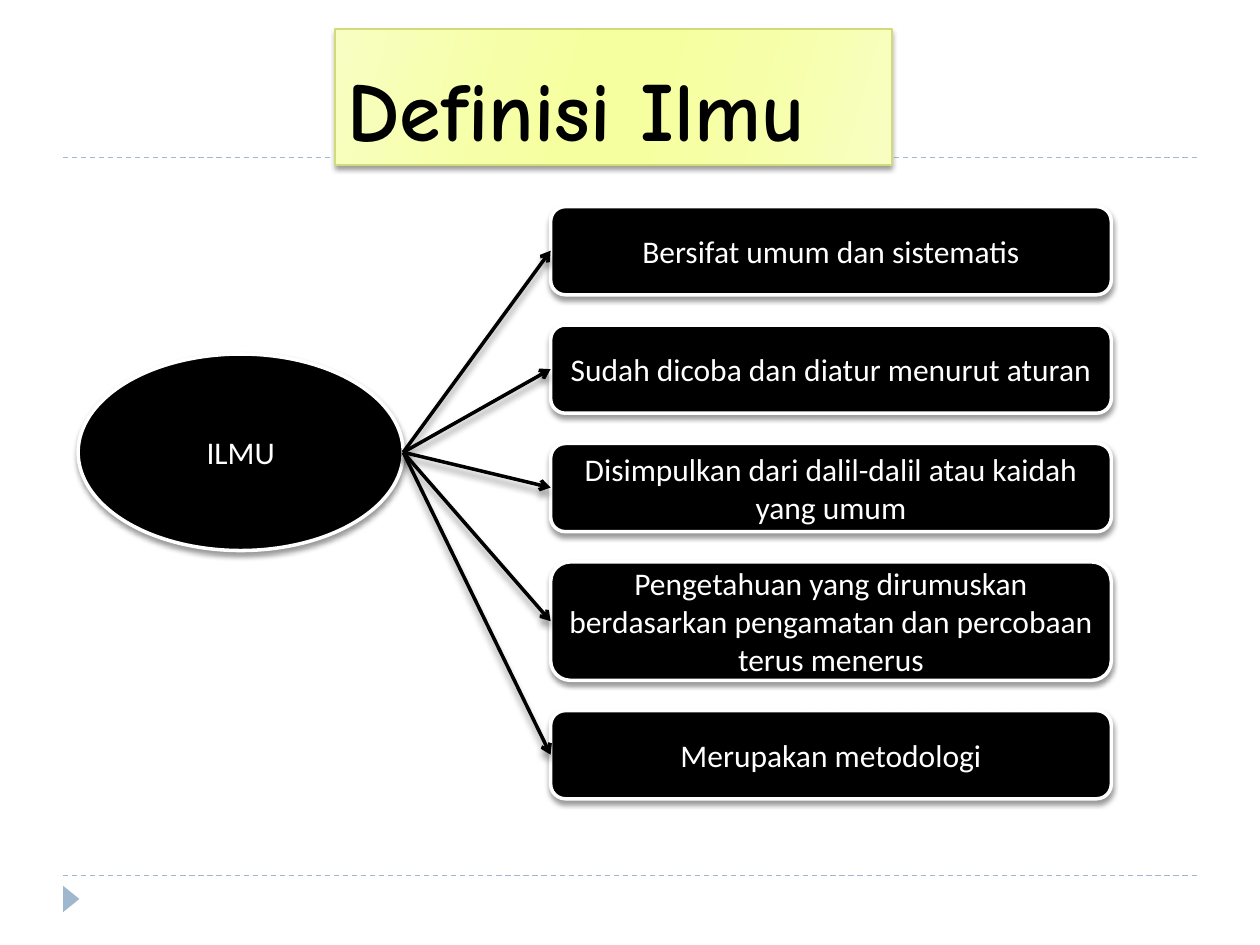
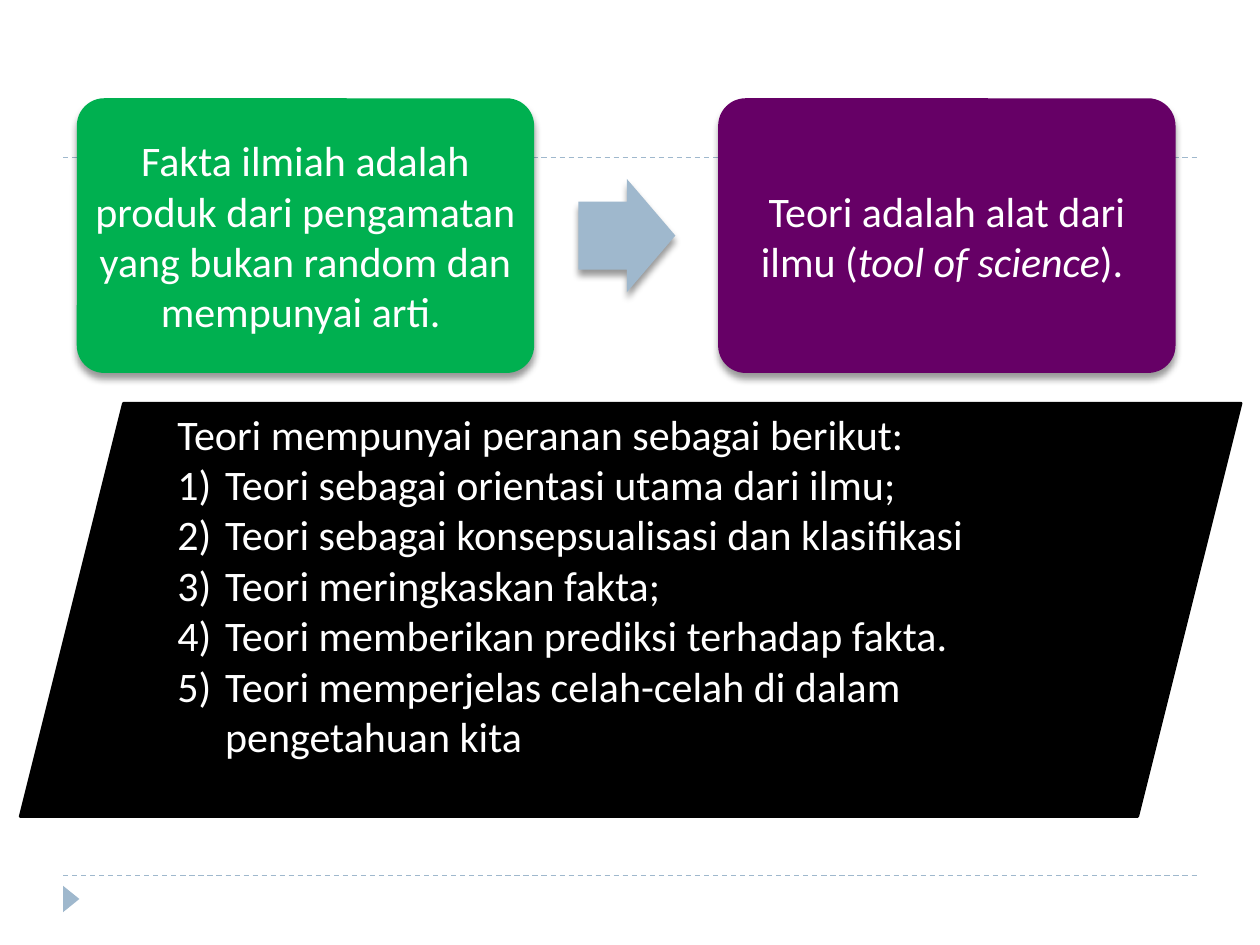
from typing import NamedTuple

from lxml.etree import SubElement
from pptx import Presentation
from pptx.dml.color import RGBColor
from pptx.enum.dml import MSO_LINE
from pptx.enum.shapes import MSO_CONNECTOR, MSO_SHAPE
from pptx.enum.text import MSO_ANCHOR, MSO_AUTO_SIZE, PP_ALIGN
from pptx.oxml.ns import qn
from pptx.util import Emu, Pt

PX = 9144

BLACK = RGBColor(0x00, 0x00, 0x00)
WHITE = RGBColor(0xFF, 0xFF, 0xFF)
BLUE = RGBColor(0x9F, 0xB8, 0xCD)
GREEN = RGBColor(0x00, 0xB0, 0x50)
PURPLE = RGBColor(0x66, 0x00, 0x66)
OLIVE = RGBColor(0xD2, 0xDA, 0x7A)
PALE_LIME = RGBColor(0xF8, 0xFE, 0xC2)
SOFT_LIME = RGBColor(0xF6, 0xFF, 0xA7)
LIME = RGBColor(0xF6, 0xFF, 0x9F)
TITLE_STOPS = [(0, PALE_LIME), (30, SOFT_LIME), (45, LIME),
               (55, LIME), (73, SOFT_LIME), (100, PALE_LIME)]

BODY_FONT = "Calibri"
TITLE_FONT = "Comic Neue"
NEAR_SHADOW = (3, 2)
FAR_SHADOW = (4, 3.4)

TRAITS = [
    ("Bersifat umum dan sistematis", 70),
    ("Sudah dicoba dan diatur menurut aturan", 70),
    ("Disimpulkan dari dalil-dalil atau kaidah yang umum", 70),
    ("Pengetahuan yang dirumuskan berdasarkan pengamatan dan percobaan terus menerus", 94),
    ("Merupakan metodologi", 70),
]
FACT = [("Fakta ilmiah adalah produk dari pengamatan yang bukan random dan mempunyai arti. ", False)]
THEORY = [("Teori adalah alat dari ilmu (", False), ("tool of science", True), ("). ", False)]
ROLES_HEADING = "Teori mempunyai peranan sebagai berikut:"
ROLES = [
    "Teori sebagai orientasi utama dari ilmu;",
    "Teori sebagai konsepsualisasi dan klasifikasi",
    "Teori meringkaskan fakta;",
    "Teori memberikan prediksi terhadap fakta.",
    "Teori memperjelas celah-celah di dalam pengetahuan kita",
]


class Box(NamedTuple):
    """A rectangle in px."""

    left: int
    top: int
    width: int
    height: int


def px(length):
    """Turn px into EMU."""
    return Emu(int(length * PX))


def add_shadow(shape, blur, distance):
    """Give a shape or connector a soft black shadow below it."""
    effects = SubElement(shape.element.spPr, qn("a:effectLst"))
    shadow = SubElement(effects, qn("a:outerShdw"), blurRad=str(Pt(blur)),
                        dist=str(Pt(distance)), dir="5400000", rotWithShape="0")
    colour = SubElement(shadow, qn("a:srgbClr"), val=str(BLACK))
    SubElement(colour, qn("a:alpha"), val="40000")


def add_block(page, kind, box, fill, line=None, line_width=0, shadow=None):
    """Add a filled preset shape."""
    shape = page.shapes.add_shape(kind, *map(px, box))
    shape.fill.solid()
    shape.fill.fore_color.rgb = fill
    if line is None:
        shape.line.fill.background()
    else:
        shape.line.color.rgb = line
        shape.line.width = Pt(line_width)
    if shadow:
        add_shadow(shape, *shadow)
    else:
        shape.shadow.inherit = False
    shape.text_frame.word_wrap = True
    return shape


def add_span(para, text, size, colour=WHITE, font=BODY_FONT, bold=False, italic=False):
    """Add one formatted run."""
    span = para.add_run()
    span.text = text
    span.font.name = font
    span.font.size = Pt(size)
    span.font.bold = bold
    span.font.italic = italic
    span.font.color.rgb = colour


def add_centred_text(shape, spans, size):
    """Centre a paragraph of (text, italic) spans in a shape."""
    shape.text_frame.vertical_anchor = MSO_ANCHOR.MIDDLE
    para = shape.text_frame.paragraphs[0]
    para.alignment = PP_ALIGN.CENTER
    for text, italic in spans:
        add_span(para, text, size, italic=italic)


def add_line(page, start, end, colour, width):
    """Add a straight connector between two points."""
    line = page.shapes.add_connector(MSO_CONNECTOR.STRAIGHT, *map(px, (*start, *end)))
    line.line.color.rgb = colour
    line.line.width = Pt(width)
    return line


def decorate_master(deck, page, box):
    """Build the dashed rules and corner marker, then move them to the master."""
    right, bottom = box.left + box.width, box.top + box.height
    parts = []
    for y in (bottom, box.top):
        rule = add_line(page, (box.left, y), (right, y), BLUE, 0.75)
        rule.line.dash_style = MSO_LINE.DASH
        SubElement(rule.element.spPr, qn("a:effectLst"))
        parts.append(rule)
    marker_box = Box(box.left - 4, bottom + 12, 21, 13)
    marker = add_block(page, MSO_SHAPE.ISOSCELES_TRIANGLE, marker_box, BLUE)
    marker.rotation = 90
    parts.append(marker)
    for number, part in enumerate(parts, start=101):
        part.element.xpath(".//p:cNvPr")[0].set("id", str(number))
        deck.slide_master.shapes.element.append(part.element)


def format_title(title, box, text):
    """Place the title on its lime gradient plate."""
    title.left, title.top, title.width, title.height = map(px, box)
    title.fill.gradient()
    title.fill.gradient_angle = 344
    stops = title.element.spPr.find(".//" + qn("a:gsLst"))
    stops.clear()
    for percent, colour in TITLE_STOPS:
        stop = SubElement(stops, qn("a:gs"), pos=str(percent * 1000))
        SubElement(stop, qn("a:srgbClr"), val=str(colour))
    title.line.color.rgb = OLIVE
    title.line.width = Pt(0.75)
    add_shadow(title, *NEAR_SHADOW)
    title.text_frame.auto_size = MSO_AUTO_SIZE.NONE
    title.text_frame.vertical_anchor = MSO_ANCHOR.BOTTOM
    para = title.text_frame.paragraphs[0]
    para.alignment = PP_ALIGN.LEFT
    add_span(para, text, 48, BLACK, TITLE_FONT, bold=True)


def add_trait_map(page, box):
    """Add the science ellipse with an arrow to each of its traits."""
    hub_box = Box(box.left, box.top + 117, 258, 156)
    hub = add_block(page, MSO_SHAPE.OVAL, hub_box, BLACK, WHITE, 2, NEAR_SHADOW)
    add_centred_text(hub, [("ILMU", False)], 18)
    hub_side = (hub_box.left + hub_box.width, hub_box.top + hub_box.height // 2)
    trait_width, gap = 445, 24
    left, top = box.left + box.width - trait_width, box.top
    traits = []
    for text, height in TRAITS:
        trait = add_block(page, MSO_SHAPE.ROUNDED_RECTANGLE, Box(left, top, trait_width, height),
                          BLACK, WHITE, 2, NEAR_SHADOW)
        add_centred_text(trait, [(text, False)], 18)
        traits.append(trait)
        top += height + gap
    for trait in traits:
        arrow = add_line(page, hub_side, hub_side, BLACK, 2)
        arrow.end_connect(trait, 1)
        SubElement(arrow.line._get_or_add_ln(), qn("a:tailEnd"), type="arrow")
        add_shadow(arrow, *FAR_SHADOW)


def add_fact_to_theory(page, box):
    """Add the fact card, the arrow and the theory card."""
    card_width = 363
    cards = [(box.left, GREEN, FACT), (box.left + box.width - card_width, PURPLE, THEORY)]
    for left, colour, spans in cards:
        card = add_block(page, MSO_SHAPE.ROUNDED_RECTANGLE,
                         Box(left, box.top, card_width, box.height), colour, shadow=FAR_SHADOW)
        card.adjustments[0] = 0.1
        frame = card.text_frame
        frame.margin_left = frame.margin_right = frame.margin_top = frame.margin_bottom = px(4)
        add_centred_text(card, spans, 24)
    arrow_box = Box(box.left + 398, box.top + (box.height - 90) // 2, 77, 90)
    arrow = add_block(page, MSO_SHAPE.RIGHT_ARROW, arrow_box, BLUE, shadow=FAR_SHADOW)
    arrow.adjustments[0] = 0.6
    arrow.adjustments[1] = 0.5


def add_roles(page, box):
    """Add the slanted panel that numbers the roles of theory."""
    panel = add_block(page, MSO_SHAPE.PARALLELOGRAM, box, BLACK, BLACK, 1.5)
    frame = panel.text_frame
    frame.vertical_anchor = MSO_ANCHOR.MIDDLE
    frame.margin_bottom = px(45)
    heading = frame.paragraphs[0]
    heading.alignment = PP_ALIGN.LEFT
    add_span(heading, ROLES_HEADING, 24)
    for role in ROLES:
        para = frame.add_paragraph()
        para.alignment = PP_ALIGN.LEFT
        properties = para._p.get_or_add_pPr()
        properties.set("marL", str(px(38)))
        properties.set("indent", str(px(-38)))
        SubElement(properties, qn("a:buFont"), typeface="+mj-lt")
        SubElement(properties, qn("a:buAutoNum"), type="arabicParenR")
        add_span(para, role, 24)


def build_definition(page):
    """Fill the slide that defines science."""
    format_title(page.shapes.title, Box(266, 23, 442, 108), "Definisi Ilmu")
    add_trait_map(page, Box(62, 164, 820, 469))


def build_theory(page):
    """Fill the slide on facts, theory and its roles."""
    add_fact_to_theory(page, Box(61, 78, 872, 218))
    add_roles(page, Box(16, 320, 969, 328))


def main():
    """Build the deck and save it."""
    deck = Presentation()
    deck.slide_width, deck.slide_height = px(1000), px(750)
    definition = deck.slides.add_slide(deck.slide_layouts[5])
    decorate_master(deck, definition, Box(50, 125, 900, 570))
    build_definition(definition)
    build_theory(deck.slides.add_slide(deck.slide_layouts[6]))
    deck.save("out.pptx")


if __name__ == "__main__":
    main()
